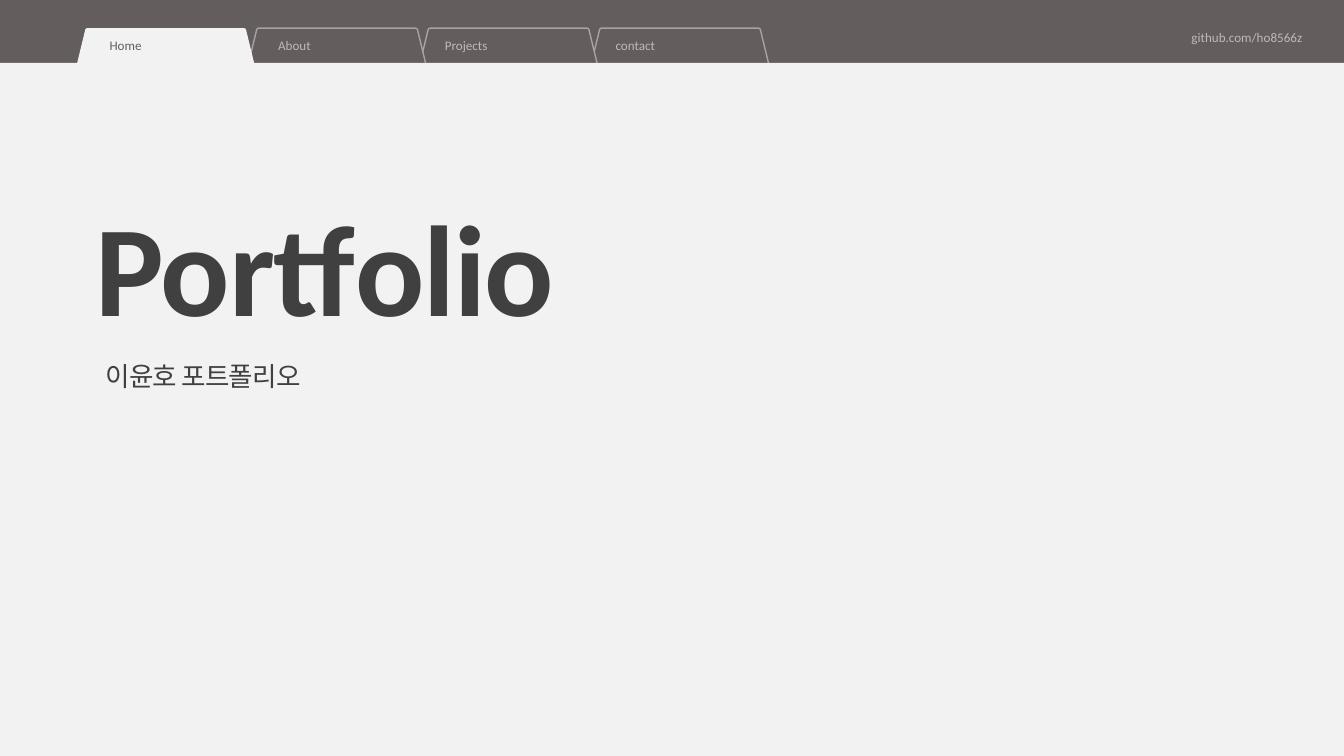
from dataclasses import dataclass

from pptx import Presentation
from pptx.dml.color import RGBColor
from pptx.enum.shapes import MSO_SHAPE
from pptx.enum.text import PP_ALIGN
from pptx.util import Pt


@dataclass(frozen=True)
class Theme:
    paper: str = "F3F2F2"
    bar: str = "645D5D"
    tab_line: str = "AAA2A2"
    muted: str = "C1B8B8"
    ink: str = "404040"
    latin: str = "Calibri"
    subtitle_font: str = "Cabin"
    small: float = 14
    subtitle: float = 28.5
    title: float = 138.4


TAB_OUTLINE = [
    (12, 0), (180, 0), (181.4, 0.4), (182.2, 1.5),
    (192.2, 42.6), (192, 43.6), (191, 44),
    (1.2, 44), (0.2, 43.6), (0, 42.6),
    (10, 1.5), (10.8, 0.4),
]


class PageBuilder:
    def __init__(self, page, theme):
        self.page = page
        self.theme = theme
        fill = page.background.fill
        fill.solid()
        fill.fore_color.rgb = RGBColor.from_string(theme.paper)

    def paint(self, shape, color, line=None):
        shape.shadow.inherit = False
        shape.fill.solid()
        shape.fill.fore_color.rgb = RGBColor.from_string(color)
        if line:
            shape.line.color.rgb = RGBColor.from_string(line)
            shape.line.width = Pt(1.5)
        else:
            shape.line.fill.background()

    def band(self, top, height, color):
        shape = self.page.shapes.add_shape(
            MSO_SHAPE.RECTANGLE, 0, Pt(top), Pt(1440), Pt(height))
        self.paint(shape, color)

    def tab(self, left, top, color, line=None):
        points = [(Pt(left + x), Pt(top + y)) for x, y in TAB_OUTLINE]
        outline = self.page.shapes.build_freeform(*points[0])
        outline.add_line_segments(points[1:], close=True)
        self.paint(outline.convert_to_shape(), color, line)

    def text(self, words, left, top, width, height, size, color, leading,
             font=None, bold=False, spacing=0, align=PP_ALIGN.LEFT):
        box = self.page.shapes.add_textbox(
            Pt(left), Pt(top), Pt(width), Pt(height))
        frame = box.text_frame
        frame.word_wrap = True
        frame.margin_left = frame.margin_right = 0
        frame.margin_top = frame.margin_bottom = 0
        frame.text = words
        paragraph = frame.paragraphs[0]
        paragraph.alignment = align
        paragraph.line_spacing = Pt(leading)
        span = paragraph.runs[0]
        span.font.name = font or self.theme.latin
        span.font.size = Pt(size)
        span.font.bold = bold
        span.font.color.rgb = RGBColor.from_string(color)
        if spacing:
            span._r.get_or_add_rPr().set("spc", str(round(spacing * 100)))


def main():
    theme = Theme()
    deck = Presentation()
    deck.slide_width, deck.slide_height = Pt(1440), Pt(810)
    builder = PageBuilder(deck.slides.add_slide(deck.slide_layouts[6]), theme)

    tabs = [("Home", 117.4), ("About", 298), ("Projects", 476.6),
            ("contact", 659.5)]
    builder.band(0, 67.5, theme.bar)
    for index in reversed(range(len(tabs))):
        left = 81.4 + 183.7 * index
        if index == 0:
            builder.tab(left, 30.2, theme.paper)
        else:
            builder.tab(left, 30.2, theme.bar, theme.tab_line)
    builder.band(67.5, 21.3, theme.paper)

    for index, (label, left) in enumerate(tabs):
        color = theme.bar if index == 0 else theme.muted
        builder.text(label, left, 40.3, 112.3, 16.8, theme.small, color, 16.8)
    builder.text("github.com/ho8566z", 1046.2, 31.7, 349.2, 16.8,
                 theme.small, theme.muted, 16.8, align=PP_ALIGN.RIGHT)
    builder.text("Portfolio", 102.2, 232.6, 861.8, 141.1, theme.title,
                 theme.ink, 134.2, bold=True, spacing=-1.2)
    builder.text("이윤호 포트폴리오", 113, 385.9, 568.8, 34.2, theme.subtitle,
                 theme.ink, 34.2, font=theme.subtitle_font, spacing=-0.8)
    deck.save("out.pptx")


if __name__ == "__main__":
    main()
